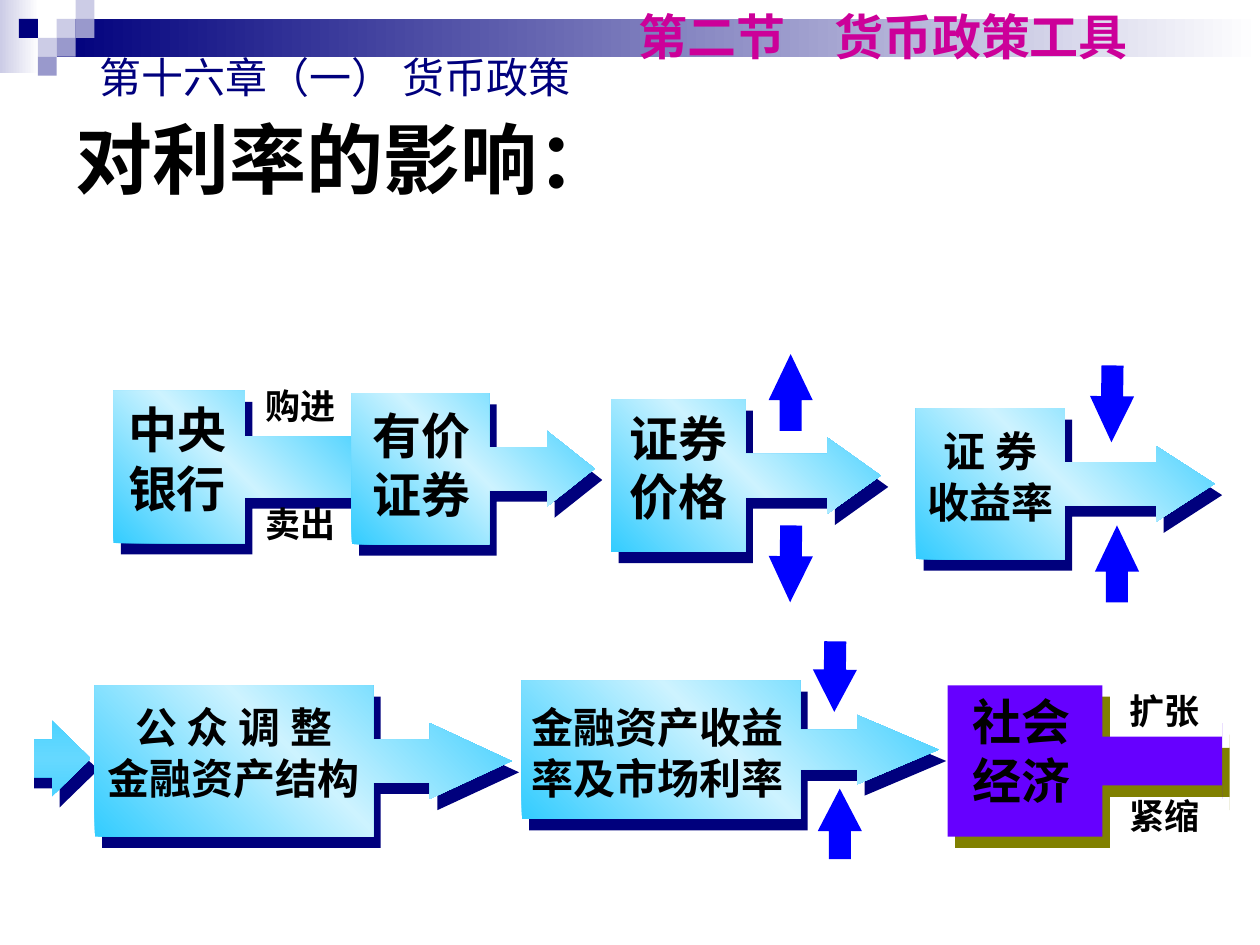
from collections import namedtuple

from lxml.etree import SubElement
from pptx import Presentation
from pptx.dml.color import RGBColor
from pptx.enum.shapes import MSO_SHAPE as Preset
from pptx.enum.text import MSO_ANCHOR as Anchor, PP_ALIGN as Align
from pptx.oxml.ns import qn
from pptx.util import Inches, Pt

deck = Presentation()
deck.slide_width, deck.slide_height = Inches(10), Inches(7.5)
COLUMN = deck.slide_width / 100
ROW = deck.slide_height / 75

HAN = "Noto Sans CJK SC"
NAVY, BLUE, VIOLET, OLIVE = "00007D", "0000FF", "6600FF", "808000"
LILAC, PERIWINKLE, WHITE, BLACK = "CCCCE6", "9999CC", "FFFFFF", "000000"
SKY = ("33CCFF", "CDF3FF", "33CCFF")
DEEP_SKY = ("33CCFF", "65D8FF", "33CCFF")


class Box(namedtuple("Box", "left top width height")):
    def inner(self, left, top, width, height):
        return Box(self.left + left, self.top + top, width, height)

    def shift(self, right, down):
        return self.inner(right, down, self.width, self.height)

    def place(self):
        return (round(self.left * COLUMN), round(self.top * ROW),
                round(self.width * COLUMN), round(self.height * ROW))


def color(code):
    return RGBColor.from_string(code)


def blend(shape, colors, angle):
    shape.fill.gradient()
    gradient = shape._element.spPr.find(qn("a:gradFill"))
    for child in list(gradient):
        gradient.remove(child)
    stops = SubElement(gradient, qn("a:gsLst"))
    for index, code in enumerate(colors):
        position = round(100000 * index / (len(colors) - 1))
        stop = SubElement(stops, qn("a:gs"), pos=str(position))
        SubElement(stop, qn("a:srgbClr"), val=code)
    SubElement(gradient, qn("a:lin"), ang=str(angle * 60000), scaled="0")


def draw(page, box, preset, fill, adjust=(), angle=0, turn=0):
    shape = page.shapes.add_shape(preset, *box.place())
    shape.shadow.inherit = False
    shape.line.fill.background()
    for index, value in enumerate(adjust):
        shape.adjustments[index] = value
    shape.rotation = turn
    if isinstance(fill, str):
        shape.fill.solid()
        shape.fill.fore_color.rgb = color(fill)
    else:
        blend(shape, fill, angle)


def write(page, box, text, size=28, font=HAN, fill=BLACK, bold=True, align=Align.CENTER,
          anchor=Anchor.TOP, wrap=True, spacing=None, before=0, margin=0.5):
    frame = page.shapes.add_textbox(*box.place()).text_frame
    frame.word_wrap = wrap
    frame.vertical_anchor = anchor
    frame.margin_top = frame.margin_bottom = round(margin * ROW)
    for index, line in enumerate(text.split("\n")):
        para = frame.add_paragraph() if index else frame.paragraphs[0]
        para.alignment = align
        if spacing:
            para.line_spacing = spacing
        if index and before:
            para.space_before = Pt(before)
        span = para.add_run()
        span.text = line
        span.font.size, span.font.bold, span.font.name = Pt(size), bold, font
        span.font.color.rgb = color(fill)
        if font == HAN:
            SubElement(span.font._element, qn("a:ea"), typeface=font)


def banner(page, box):
    draw(page, box.inner(0, 0, 3.1, 5.8), Preset.RECTANGLE, (LILAC, WHITE))
    draw(page, box.inner(4.5, 1.5, 95.5, 3), Preset.RECTANGLE, (NAVY, WHITE))
    squares = [(3, 1, LILAC), (4, 0, LILAC), (4, 1, PERIWINKLE), (2, 2, LILAC),
               (1, 1, NAVY), (3, 2, PERIWINKLE), (2, 3, PERIWINKLE)]
    for across, down, fill in squares:
        draw(page, box.inner(across * 1.5, down * 1.5, 1.5, 1.5), Preset.RECTANGLE, fill)


def headings(page, box):
    write(page, box.inner(5, 5, 90, 15), "对利率的影响：", size=44, font="Arial",
          align=Align.LEFT, anchor=Anchor.MIDDLE)
    write(page, box.inner(6.9, 3.6, 40.1, 5), "第十六章（一） 货币政策", size=24, font="Arial",
          fill=NAVY, bold=False, align=Align.LEFT, wrap=False)
    write(page, box.inner(49.7, 0, 41.4, 5.7), "第二节　货币政策工具", font="Arial",
          fill="CC0099", align=Align.LEFT, wrap=False)


def callout(page, box, adjust, fill=SKY, shade=NAVY, angle=315):
    draw(page, box.shift(0.6, 0.9), Preset.RIGHT_ARROW_CALLOUT, shade, adjust)
    draw(page, box, Preset.RIGHT_ARROW_CALLOUT, fill, adjust, angle)


def station(page, box, adjust, text, label, size=28, align=Align.CENTER, **colors):
    callout(page, box, adjust, **colors)
    write(page, box.inner(*label), text, size=size, align=align)


def trend(page, box, turn):
    draw(page, box, Preset.UP_ARROW, BLUE, (0.5, box.height / box.width * 0.6), turn=turn)


def first_row(page, box):
    station(page, box.inner(0, 0, 19.1, 12.1), (0.4, 0.2, 0, 0.546), "中央银行",
            (-0.2, 0.2, 10.5, 10.4))
    station(page, box.inner(18.9, 0.2, 19.3, 12), (0.286, 0.25, 0.315, 0.566), "有价证券",
            (0.3, 0.5, 10.5, 10.4))
    station(page, box.inner(39.5, 0.7, 21.4, 12.1), (0.286, 0.25, 0.35, 0.498), "证券价格",
            (-0.4, 0.2, 11.5, 10.4))
    station(page, box.inner(63.7, 1.4, 23.7, 12), (0.286, 0.25, 0.387, 0.498), "证 券\n收益率",
            (-1.7, 0.9, 15.2, 9), size=24)
    write(page, box.inner(11.1, -4.5, 10.3, 16.8), "购进\n卖出", size=20, align=Align.LEFT,
          spacing=2.2, before=15, margin=0)
    for left, top, turn in [(52, -2.9, 0), (52, 10.7, 180.8), (77.9, 10.7, 0), (77.5, -2, 180.8)]:
        trend(page, box.inner(left, top, 3.5, 6.1), turn)


def second_row(page, box):
    callout(page, box.inner(1.2, 0.2, 6, 12), (0.495, 0.498, 0.51, 0.062), DEEP_SKY, angle=90)
    draw(page, box.inner(0, -0.7, 2.7, 14.3), Preset.RECTANGLE, WHITE)
    station(page, box.inner(7.5, 0.4, 33.1, 12), (0.286, 0.25, 0.54, 0.668),
            "公 众 调 整\n金融资产结构", (-2.2, 0.8, 26.5, 9), size=24)
    station(page, box.inner(41.4, 0, 33.1, 11), (0.286, 0.25, 0.589, 0.668),
            "金融资产收益\n率及市场利率", (-0.8, 1.2, 23.1, 9), size=24)
    station(page, box.inner(75.2, 0.4, 21.8, 12), (0.324, 0.25, 0, 0.564), "社会经济",
            (1, 0, 10.2, 10.4), align=Align.LEFT, fill=VIOLET, shade=OLIVE)
    write(page, box.inner(86.2, -4.8, 12.5, 17.7), "扩张\n紧缩", size=20, spacing=2.5)
    for left, top, turn in [(64.9, 8.6, 0), (64.5, -3.1, 180.8)]:
        trend(page, box.inner(left, top, 3.5, 5.6), turn)


def main():
    page = deck.slides.add_slide(deck.slide_layouts[6])
    banner(page, Box(0, 0, 100, 6))
    headings(page, Box(0, 0, 100, 20))
    first_row(page, Box(9, 31, 88, 15))
    second_row(page, Box(0, 54, 100, 14))
    deck.save("out.pptx")


if __name__ == "__main__":
    main()
